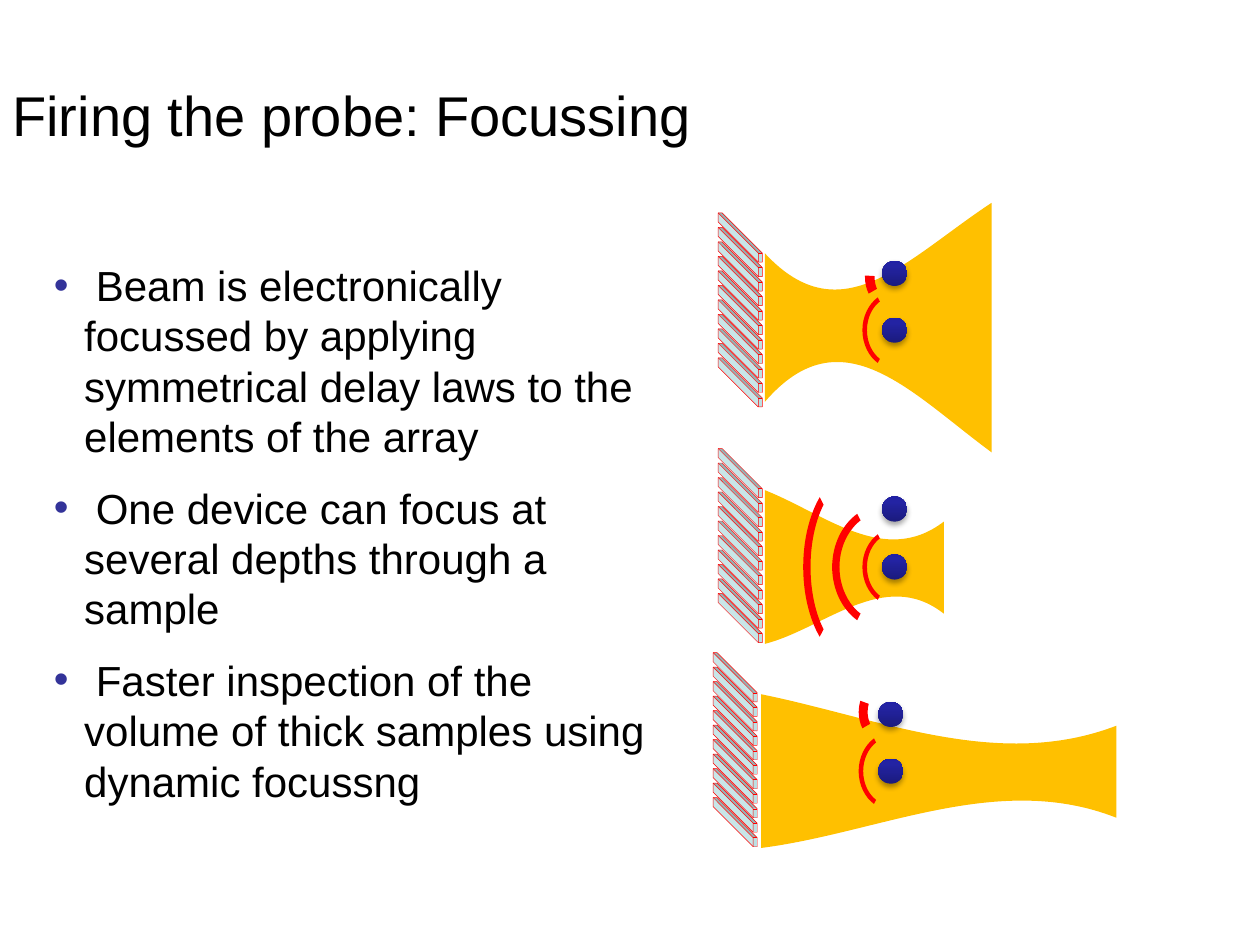
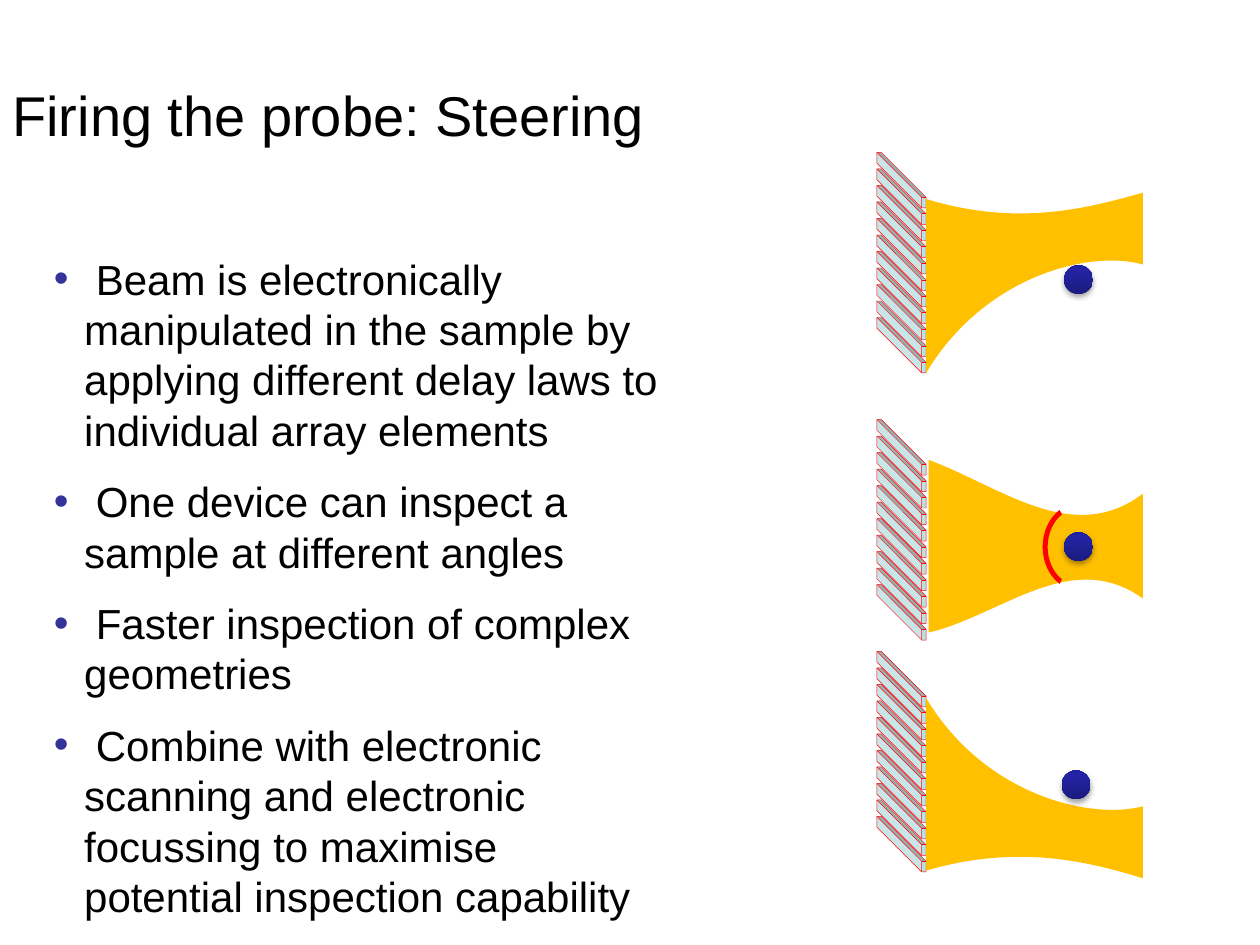
from dataclasses import dataclass

from lxml.etree import SubElement
from pptx import Presentation
from pptx.dml.color import RGBColor
from pptx.enum.shapes import MSO_SHAPE
from pptx.enum.text import MSO_ANCHOR
from pptx.oxml import parse_xml
from pptx.oxml.ns import nsdecls, qn
from pptx.util import Pt

PX = 9144
FONT = "Arial"
BLACK = RGBColor(0x00, 0x00, 0x00)
BULLET_BLUE = RGBColor(0x33, 0x33, 0x99)
BEAM_AMBER = RGBColor(0xFF, 0xC0, 0x00)
ELEMENT_BLUE = RGBColor(0xBB, 0xE0, 0xE3)
RED = RGBColor(0xFF, 0x00, 0x00)
TARGET_STOPS = (
    (0, RGBColor(0x1B, 0x1B, 0x7E)),
    (80, RGBColor(0x23, 0x23, 0xA3)),
    (100, RGBColor(0x20, 0x20, 0xA6)),
)
ELEMENT_COUNT = 11
WIDE_SWEEP = (124.29, 199.73, 0.07)


@dataclass
class Probe:
    element_width: int
    element_height: int
    span: int
    target_size: int


@dataclass
class Panel:
    left: int
    top: int
    upper: tuple
    lower: tuple
    targets: tuple
    echoes: tuple = ()


FOCUSSING_PROBE = Probe(39, 35, 115, 20)
STEERING_PROBE = Probe(44, 39, 131, 23)
NEAR_ECHO = (61, 51, WIDE_SWEEP)

FOCUSSING_PANELS = (
    Panel(570, 169,
          ((37, 32), (98, 98), (150, 36), (217, -8)),
          ((37, 150), (98, 79), (153, 143), (217, 190)),
          ((140, 93), (140, 48)),
          ((140, 93, *NEAR_ECHO), (142, 51, 56, 51, (144.01, 163.81, 0.15)))),
    Panel(570, 356,
          ((37, 33), (85, 52), (132, 94), (179, 58)),
          ((37, 155), (84, 143), (132, 94), (179, 131)),
          ((140, 94), (140, 48)),
          ((140, 94, *NEAR_ECHO), (132, 94, 99, 83, WIDE_SWEEP),
           (109, 94, 152, 83, WIDE_SWEEP))),
    Panel(566, 518,
          ((38, 33), (132, 52), (226, 94), (320, 58)),
          ((38, 155), (132, 143), (226, 94), (320, 131)),
          ((141, 94), (141, 49)),
          ((141, 94, *NEAR_ECHO), (141, 47, 56, 51, (144.01, 174.08, 0.14)))),
)
STEERING_PANELS = (
    Panel(696, 121,
          ((39, 37), (114, 60), (171, 43), (211, 32)),
          ((39, 175), (85, 98), (169, 77), (211, 89)),
          ((160, 101),)),
    Panel(696, 333,
          ((41, 32), (98, 53), (155, 101), (211, 59)),
          ((41, 169), (98, 156), (154, 101), (211, 142)),
          ((160, 101),),
          ((160, 101, 69, 57, WIDE_SWEEP),)),
    Panel(696, 517,
          ((39, 37), (85, 114), (169, 134), (211, 123)),
          ((39, 174), (114, 152), (171, 168), (211, 180)),
          ((158, 106),)),
)
FOCUSSING_POINTS = (
    " Beam is electronically focussed by applying symmetrical delay laws to the elements of the array",
    " One device can focus at several depths through a sample",
    " Faster inspection of the volume of thick samples using dynamic focussng",
)
STEERING_POINTS = (
    " Beam is electronically manipulated in the sample by applying different delay laws to individual array elements",
    " One device can inspect a sample at different angles",
    " Faster inspection of complex geometries",
    " Combine with electronic scanning and electronic focussing to maximise potential inspection capability",
)


def add_text_frame(slide, left, top, width, height):
    box = slide.shapes.add_textbox(left * PX, top * PX, width * PX, height * PX)
    box.text_frame.word_wrap = True
    return box.text_frame


def style_font(paragraph, size):
    paragraph.font.name = FONT
    paragraph.font.size = Pt(size)
    paragraph.font.color.rgb = BLACK


def add_title(slide, text):
    frame = add_text_frame(slide, 0, 55, 828, 125)
    frame.vertical_anchor = MSO_ANCHOR.MIDDLE
    frame.margin_bottom = 59 * PX
    paragraph = frame.paragraphs[0]
    paragraph.text = text
    style_font(paragraph, 32)


def add_bullet(paragraph):
    properties = paragraph._p.get_or_add_pPr()
    properties.set("marL", str(24 * PX))
    properties.set("indent", str(-24 * PX))
    color = SubElement(properties, qn("a:buClr"))
    SubElement(color, qn("a:srgbClr")).set("val", str(BULLET_BLUE))
    SubElement(properties, qn("a:buFont")).set("typeface", FONT)
    SubElement(properties, qn("a:buChar")).set("char", "•")


def add_points(slide, top, height, points):
    frame = add_text_frame(slide, 33, top, 506, height)
    for index, point in enumerate(points):
        paragraph = frame.add_paragraph() if index else frame.paragraphs[0]
        paragraph.text = point
        add_bullet(paragraph)
        if index:
            paragraph.space_before = Pt(12)
        style_font(paragraph, 24)


def add_turned_shape(slide, kind, center_x, center_y, width, height):
    shape = slide.shapes.add_shape(
        kind, round((center_x - width / 2) * PX), round((center_y - height / 2) * PX),
        width * PX, height * PX)
    shape.rotation = 270
    shape.shadow.inherit = False
    shape.line.fill.background()
    return shape


def add_array(slide, left, top, probe):
    width, height = probe.element_width, probe.element_height
    for index in reversed(range(ELEMENT_COUNT)):
        offset = probe.span * index / (ELEMENT_COUNT - 1)
        element = add_turned_shape(slide, MSO_SHAPE.CUBE, left + height / 2,
                                   top + width / 2 + offset, width, height)
        element.adjustments[0] = 0.91
        element.fill.solid()
        element.fill.fore_color.rgb = ELEMENT_BLUE
        element.line.color.rgb = RED
        element.line.width = Pt(0.25)


def bend_edge(edge, controls, origin):
    curve = parse_xml(f'<a:cubicBezTo {nsdecls("a")}/>')
    for x, y in controls:
        point = SubElement(curve, qn("a:pt"))
        point.set("x", str((x - origin[0]) * PX))
        point.set("y", str((y - origin[1]) * PX))
    edge.getparent().replace(edge, curve)


def add_beam(slide, left, top, upper, lower):
    corners = (upper[0], upper[-1], lower[-1], lower[0])
    points = [((left + x) * PX, (top + y) * PX) for x, y in corners]
    builder = slide.shapes.build_freeform(*points[0])
    builder.add_line_segments(points[1:], close=True)
    beam = builder.convert_to_shape()
    origin = [min(values) for values in zip(*corners)]
    edges = list(beam._element.spPr.iter(qn("a:lnTo")))
    bend_edge(edges[0], upper[1:], origin)
    bend_edge(edges[2], lower[-2::-1], origin)
    beam.shadow.inherit = False
    beam.fill.solid()
    beam.fill.fore_color.rgb = BEAM_AMBER
    beam.line.fill.background()


def add_target(slide, center_x, center_y, size):
    target = add_turned_shape(slide, MSO_SHAPE.FLOWCHART_CONNECTOR,
                              center_x, center_y, size, size)
    target.fill.gradient()
    target.fill.gradient_angle = 90
    properties = target._element.spPr
    gradient = properties.find(qn("a:gradFill"))
    gradient.set("rotWithShape", "0")
    stops = gradient.find(qn("a:gsLst"))
    for stop in list(stops):
        stops.remove(stop)
    for position, color in TARGET_STOPS:
        stop = SubElement(stops, qn("a:gs"))
        stop.set("pos", str(position * 1000))
        SubElement(stop, qn("a:srgbClr")).set("val", str(color))
    properties.find(qn("a:effectLst")).append(parse_xml(
        f'<a:outerShdw {nsdecls("a")} blurRad="40000" dist="23000" dir="5400000" '
        f'rotWithShape="0"><a:srgbClr val="{BLACK}"><a:alpha val="35000"/>'
        '</a:srgbClr></a:outerShdw>'))


def add_echo(slide, center_x, center_y, width, height, sweep):
    echo = add_turned_shape(slide, MSO_SHAPE.BLOCK_ARC, center_x, center_y, width, height)
    for index, value in enumerate(sweep):
        echo.adjustments[index] = value
    echo.fill.solid()
    echo.fill.fore_color.rgb = RED


def add_panel(slide, panel, probe):
    left, top = panel.left, panel.top
    add_array(slide, left, top, probe)
    add_beam(slide, left, top, panel.upper, panel.lower)
    for x, y in panel.targets:
        add_target(slide, left + x, top + y, probe.target_size)
    for x, y, width, height, sweep in panel.echoes:
        add_echo(slide, left + x, top + y, width, height, sweep)


def add_probe_slide(presentation, title, points, points_top, points_height, panels, probe):
    slide = presentation.slides.add_slide(presentation.slide_layouts[6])
    add_title(slide, title)
    add_points(slide, points_top, points_height, points)
    for panel in panels:
        add_panel(slide, panel, probe)


def main():
    presentation = Presentation()
    presentation.slide_width = 1000 * PX
    presentation.slide_height = 750 * PX
    add_probe_slide(presentation, "Firing the probe: Focussing", FOCUSSING_POINTS,
                    201, 409, FOCUSSING_PANELS, FOCUSSING_PROBE)
    add_probe_slide(presentation, "Firing the probe: Steering", STEERING_POINTS,
                    196, 549, STEERING_PANELS, STEERING_PROBE)
    presentation.save("out.pptx")


if __name__ == "__main__":
    main()
